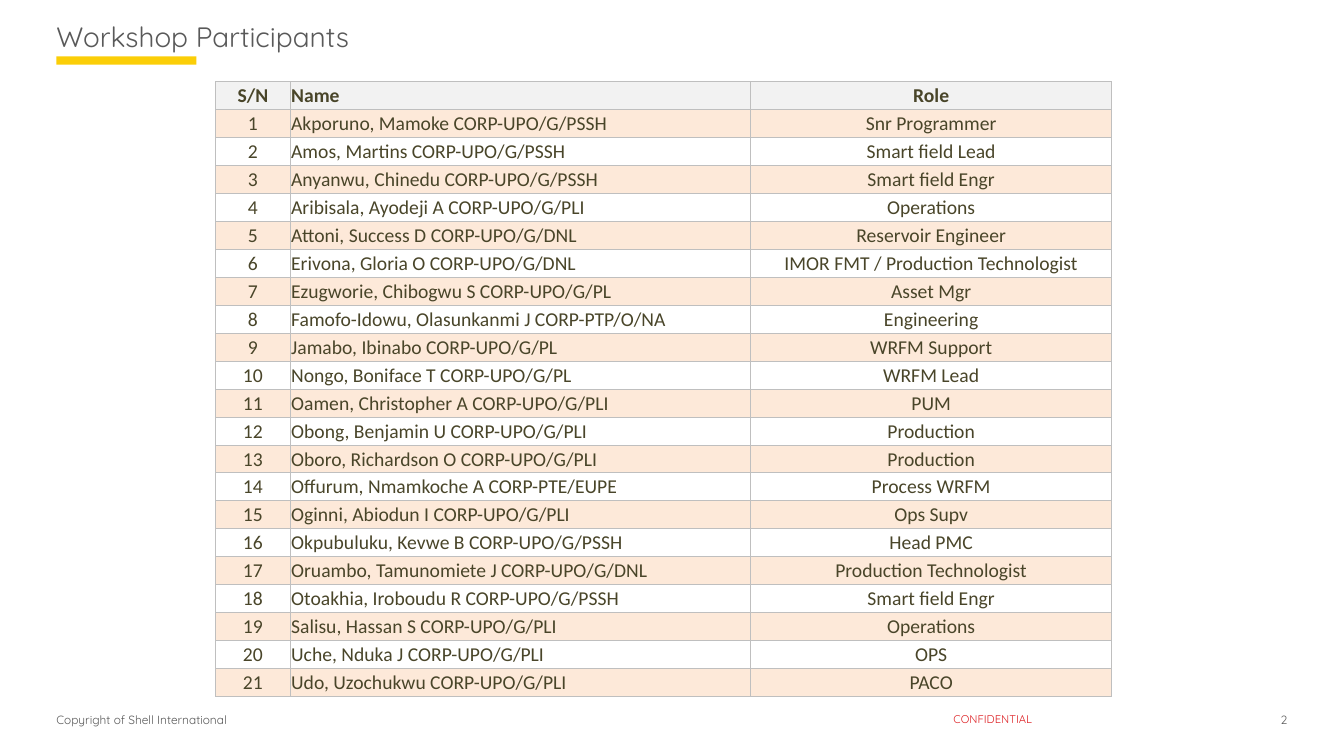
from dataclasses import dataclass

from lxml.etree import SubElement
from pptx import Presentation
from pptx.dml.color import RGBColor
from pptx.enum.shapes import MSO_SHAPE
from pptx.enum.text import MSO_ANCHOR, PP_ALIGN
from pptx.oxml.ns import qn
from pptx.slide import Slide
from pptx.table import _Cell
from pptx.text.text import _Paragraph
from pptx.util import Pt

YELLOW = RGBColor(0xFB, 0xCE, 0x07)
GREY = RGBColor(0x59, 0x59, 0x59)
RED = RGBColor(0xDD, 0x1D, 0x21)
OLIVE = RGBColor(0x49, 0x45, 0x29)
HEADER_FILL = RGBColor(0xF2, 0xF2, 0xF2)
BAND_FILL = RGBColor(0xFD, 0xE9, 0xD9)
BORDER = RGBColor(0xBF, 0xBF, 0xBF)

LEFT_MARGIN = 40.3
FOOTER_TOP = 509
FOOTER_INSET = 3.6
TABLE_LEFT, TABLE_TOP, TABLE_HEIGHT = 154.1, 58.3, 439.2
COLUMN_WIDTHS = (53.2, 329, 257.8)
COLUMN_ALIGNMENTS = (PP_ALIGN.CENTER, PP_ALIGN.LEFT, PP_ALIGN.CENTER)
CELL_FORMAT = {
    "margin_left": Pt(0.72),
    "margin_right": Pt(0.72),
    "margin_top": Pt(0.72),
    "margin_bottom": Pt(0),
    "vertical_anchor": MSO_ANCHOR.MIDDLE,
}


@dataclass(frozen=True)
class Label:
    text: str
    left: float
    top: float
    width: float
    height: float
    size: float
    color: RGBColor = GREY
    alignment: PP_ALIGN = PP_ALIGN.LEFT
    inset_bottom: float = FOOTER_INSET


@dataclass(frozen=True)
class Participant:
    name: str
    role: str


LABELS = (
    Label("Workshop Participants", LEFT_MARGIN, 13.7, 879.8, 36.7, 20, inset_bottom=0),
    Label("Copyright of Shell International", LEFT_MARGIN, FOOTER_TOP, 264.2, 18.7, 8.5),
    Label("CONFIDENTIAL", 666.7, FOOTER_TOP, 85, 13.7, 8, RED, PP_ALIGN.CENTER),
    Label("2", 891.4, FOOTER_TOP, 28.1, 18.7, 8.5, alignment=PP_ALIGN.RIGHT),
)

PARTICIPANTS = (
    Participant("Akporuno, Mamoke CORP-UPO/G/PSSH", "Snr Programmer"),
    Participant("Amos, Martins CORP-UPO/G/PSSH", "Smart field Lead"),
    Participant("Anyanwu, Chinedu CORP-UPO/G/PSSH", "Smart field Engr"),
    Participant("Aribisala, Ayodeji A CORP-UPO/G/PLI", "Operations"),
    Participant("Attoni, Success D CORP-UPO/G/DNL", "Reservoir Engineer"),
    Participant("Erivona, Gloria O CORP-UPO/G/DNL", "IMOR FMT / Production Technologist"),
    Participant("Ezugworie, Chibogwu S CORP-UPO/G/PL", "Asset Mgr"),
    Participant("Famofo-Idowu, Olasunkanmi J CORP-PTP/O/NA", "Engineering"),
    Participant("Jamabo, Ibinabo CORP-UPO/G/PL", "WRFM Support"),
    Participant("Nongo, Boniface T CORP-UPO/G/PL", "WRFM Lead"),
    Participant("Oamen, Christopher A CORP-UPO/G/PLI", "PUM"),
    Participant("Obong, Benjamin U CORP-UPO/G/PLI", "Production"),
    Participant("Oboro, Richardson O CORP-UPO/G/PLI", "Production"),
    Participant("Offurum, Nmamkoche A CORP-PTE/EUPE", "Process WRFM"),
    Participant("Oginni, Abiodun I CORP-UPO/G/PLI", "Ops Supv"),
    Participant("Okpubuluku, Kevwe B CORP-UPO/G/PSSH", "Head PMC"),
    Participant("Oruambo, Tamunomiete J CORP-UPO/G/DNL", "Production Technologist"),
    Participant("Otoakhia, Iroboudu R CORP-UPO/G/PSSH", "Smart field Engr"),
    Participant("Salisu, Hassan S CORP-UPO/G/PLI", "Operations"),
    Participant("Uche, Nduka J CORP-UPO/G/PLI", "OPS"),
    Participant("Udo, Uzochukwu CORP-UPO/G/PLI", "PACO"),
)


def apply_format(target: object, settings: dict) -> None:
    for attribute, value in settings.items():
        setattr(target, attribute, value)


def write_text(paragraph: _Paragraph, text: str, alignment: PP_ALIGN,
               color: RGBColor, font_format: dict) -> None:
    paragraph.alignment = alignment
    run = paragraph.add_run()
    run.text = text
    apply_format(run.font, font_format)
    run.font.color.rgb = color


def add_label(slide: Slide, label: Label) -> None:
    box = slide.shapes.add_textbox(
        Pt(label.left), Pt(label.top), Pt(label.width), Pt(label.height))
    apply_format(box.text_frame, {
        "margin_left": 0,
        "margin_right": 0,
        "margin_top": 0,
        "margin_bottom": Pt(label.inset_bottom),
        "word_wrap": True,
        "vertical_anchor": MSO_ANCHOR.TOP,
    })
    write_text(box.text_frame.paragraphs[0], label.text, label.alignment, label.color,
               {"name": "Quicksand", "size": Pt(label.size)})


def add_title_bar(slide: Slide) -> None:
    bar = slide.shapes.add_shape(
        MSO_SHAPE.RECTANGLE, Pt(LEFT_MARGIN), Pt(40.3), Pt(100), Pt(5.8))
    bar.shadow.inherit = False
    bar.fill.solid()
    bar.fill.fore_color.rgb = YELLOW
    bar.line.fill.background()


def add_borders(cell: _Cell) -> None:
    properties = cell._tc.get_or_add_tcPr()
    for side in ("a:lnL", "a:lnR", "a:lnT", "a:lnB"):
        line = SubElement(properties, qn(side), w=str(Pt(0.5)))
        fill = SubElement(line, qn("a:solidFill"))
        SubElement(fill, qn("a:srgbClr"), val=str(BORDER))


def fill_cell(cell: _Cell, row_index: int) -> None:
    """Shade the header and every odd-numbered participant."""
    if row_index and row_index % 2 == 0:
        cell.fill.background()
        return
    cell.fill.solid()
    cell.fill.fore_color.rgb = BAND_FILL if row_index else HEADER_FILL


def add_participant_table(slide: Slide) -> None:
    rows = [("S/N", "Name", "Role")]
    rows += [(str(number), person.name, person.role)
             for number, person in enumerate(PARTICIPANTS, 1)]
    table = slide.shapes.add_table(
        len(rows), len(COLUMN_WIDTHS), Pt(TABLE_LEFT), Pt(TABLE_TOP),
        Pt(sum(COLUMN_WIDTHS)), Pt(TABLE_HEIGHT)).table
    apply_format(table, {"first_row": False, "horz_banding": False})
    for column, width in zip(table.columns, COLUMN_WIDTHS):
        column.width = Pt(width)
    for row_index, texts in enumerate(rows):
        table.rows[row_index].height = Pt(TABLE_HEIGHT / len(rows))
        font_format = {"name": "Calibri", "size": Pt(14), "bold": row_index == 0}
        for column_index, (text, alignment) in enumerate(zip(texts, COLUMN_ALIGNMENTS)):
            cell = table.cell(row_index, column_index)
            apply_format(cell, CELL_FORMAT)
            add_borders(cell)
            fill_cell(cell, row_index)
            write_text(cell.text_frame.paragraphs[0], text, alignment, OLIVE, font_format)


def main() -> None:
    presentation = Presentation()
    presentation.slide_width = Pt(960)
    presentation.slide_height = Pt(540)
    slide = presentation.slides.add_slide(presentation.slide_layouts[6])
    add_title_bar(slide)
    for label in LABELS:
        add_label(slide, label)
    add_participant_table(slide)
    presentation.save("out.pptx")


if __name__ == "__main__":
    main()
